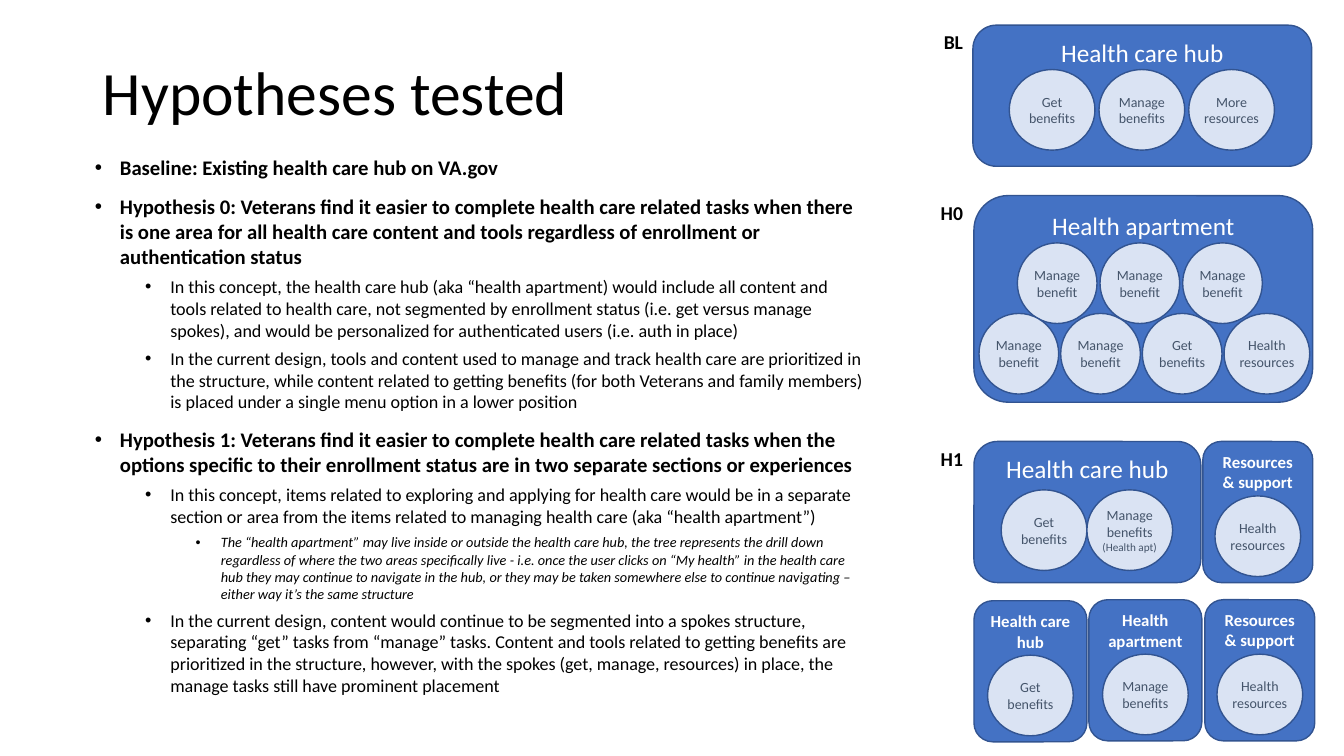
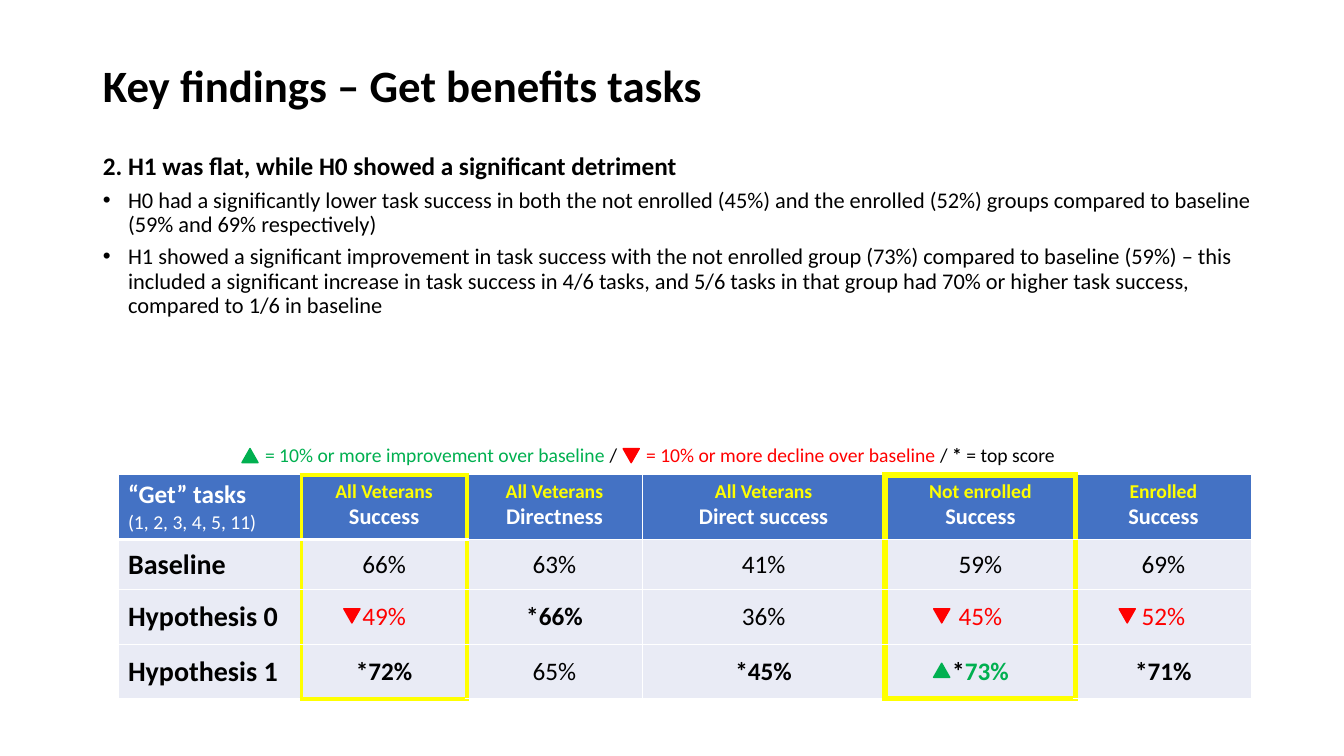
from dataclasses import dataclass

from lxml import etree
from pptx import Presentation
from pptx.dml.color import RGBColor
from pptx.enum.shapes import MSO_SHAPE
from pptx.enum.text import MSO_ANCHOR, MSO_AUTO_SIZE, PP_ALIGN
from pptx.oxml.ns import qn
from pptx.util import Inches, Pt

FONT = "Calibri"
COLORS = {
    "black": "000000", "white": "FFFFFF", "blue": "4472C4", "outline": "325491",
    "circle": "DAE3F3", "slate": "44546A", "band": "E9EBF5",
    "yellow": "FFFF00", "green": "00B050", "red": "FF0000",
}
MARK_COLORS = {"up": "green", "down": "red"}


@dataclass
class CircleRow:
    """A run of circles; left and top are measured from the card's corner."""
    left: float
    top: float
    gap: float
    widths: list
    labels: list


def rgb(name):
    return RGBColor.from_string(COLORS[name])


def add_span(para, text, size, color="black", bold=False, italic=False):
    span = para.add_run()
    span.text = text
    font = span.font
    font.name, font.size, font.bold, font.italic = FONT, Pt(size), bold, italic
    font.color.rgb = rgb(color)


def next_para(frame, index):
    return frame.paragraphs[0] if index == 0 else frame.add_paragraph()


def place(shape, box):
    shape.left, shape.top, shape.width, shape.height = map(Inches, box)


def set_indent(para, left, bullet=True):
    props = para._p.get_or_add_pPr()
    props.set("marL", str(Inches(left)))
    props.set("indent", str(Inches(-0.25 if bullet else 0)))
    if bullet:
        etree.SubElement(props, qn("a:buFont")).set("typeface", "Arial")
        etree.SubElement(props, qn("a:buChar")).set("char", "•")
    else:
        etree.SubElement(props, qn("a:buNone"))


def prepare_placeholder(shape, box, anchor):
    place(shape, box)
    frame = shape.text_frame
    frame.word_wrap = True
    frame.auto_size = MSO_AUTO_SIZE.NONE
    frame.vertical_anchor = anchor
    return frame


def add_titled_slide(deck, title, box, size, bold=False):
    slide = deck.slides.add_slide(deck.slide_layouts[1])
    frame = prepare_placeholder(slide.shapes.title, box, MSO_ANCHOR.MIDDLE)
    para = frame.paragraphs[0]
    para.alignment, para.line_spacing = PP_ALIGN.LEFT, 0.9
    add_span(para, title, size, bold=bold)
    return slide


def add_shape(slide, kind, box, fill, line):
    shape = slide.shapes.add_shape(kind, *map(Inches, box))
    shape.shadow.inherit = False
    shape.fill.solid()
    shape.fill.fore_color.rgb = rgb(fill)
    shape.line.color.rgb = rgb(line)
    shape.line.width = Pt(1)
    return shape


def add_label(slide, box, spans, align):
    frame = slide.shapes.add_textbox(*map(Inches, box)).text_frame
    frame.word_wrap = True
    para = frame.paragraphs[0]
    para.alignment = align
    for text, color, bold in spans:
        add_span(para, text, 14, color, bold)
    return para


def add_triangle(slide, left, top, mark):
    color = MARK_COLORS[mark]
    shape = add_shape(slide, MSO_SHAPE.ISOSCELES_TRIANGLE, (left, top, 0.16, 0.14), color, color)
    shape.rotation = 180 if mark == "down" else 0


def add_circle(slide, box, lines):
    frame = add_shape(slide, MSO_SHAPE.FLOWCHART_CONNECTOR, box, "circle", "outline").text_frame
    frame.margin_left = frame.margin_top = frame.margin_right = frame.margin_bottom = 0
    frame.vertical_anchor = MSO_ANCHOR.MIDDLE
    for index, text in enumerate(lines.split("\n")):
        para = next_para(frame, index)
        para.alignment = PP_ALIGN.CENTER
        add_span(para, text, 10 if index == 0 else 8, "slate")


def add_card(slide, box, heading, rows, small=False):
    """A rounded menu card with its heading and rows of circles."""
    frame = add_shape(slide, MSO_SHAPE.ROUNDED_RECTANGLE, box, "blue", "outline").text_frame
    frame.vertical_anchor = MSO_ANCHOR.TOP
    para = frame.paragraphs[0]
    para.alignment = PP_ALIGN.CENTER
    add_span(para, heading, 12 if small else 18, "white", bold=small)
    for row in rows:
        left = box[0] + row.left
        for width, label in zip(row.widths, row.labels):
            add_circle(slide, (left, box[1] + row.top, width, 0.8), label)
            left += width + row.gap


def add_outline(slide, box, items):
    """Bulleted paragraphs given as (level, text)."""
    frame = prepare_placeholder(slide.placeholders[1], box, MSO_ANCHOR.TOP)
    for index, (level, text) in enumerate(items):
        para = next_para(frame, index)
        para.level = level
        para.line_spacing = 1.0
        para.space_before = Pt(0 if index == 0 else 5 if level else 10)
        set_indent(para, 0.25 + 0.5 * level)
        add_span(para, text, (14.8, 12.9, 10.2)[level], bold=level == 0, italic=level == 2)


def add_finding(slide, box, heading, points):
    frame = prepare_placeholder(slide.placeholders[1], box, MSO_ANCHOR.TOP)
    for index, text in enumerate([heading] + points):
        is_point = index > 0
        para = next_para(frame, index)
        para.line_spacing, para.space_before, para.space_after = 0.9, Pt(0), Pt(6)
        set_indent(para, 0.25 if is_point else 0, bullet=is_point)
        add_span(para, text, 16 if is_point else 18, bold=not is_point)


def set_borders(cell, row, col, last_row, framed):
    """White rules, with a yellow frame round each column in framed."""
    own, before, after = (framed.get(col + step) for step in (0, -1, 1))
    sides = {
        "L": own or before,
        "R": own or after,
        "T": own if row == 0 else None,
        "B": own if row == last_row else None,
    }
    props = cell._tc.get_or_add_tcPr()
    for side, frame_width in sides.items():
        under_header = side == "B" and row == 0 and col < 2
        width = frame_width or (3 if under_header else 1)
        line = etree.SubElement(props, qn(f"a:ln{side}"), w=str(Pt(width)))
        fill = etree.SubElement(line, qn("a:solidFill"))
        color = COLORS["yellow" if frame_width else "white"]
        etree.SubElement(fill, qn("a:srgbClr"), val=color)


def write_cell(cell, row, col, value, mark):
    frame = cell.text_frame
    if row == 0:
        for index, text in enumerate(value):
            para = next_para(frame, index)
            if col == 0:
                add_span(para, text, (18, 14)[index], "white", bold=index == 0)
            else:
                para.alignment = PP_ALIGN.CENTER
                add_span(para, text, (14, 16)[index], ("yellow", "white")[index], bold=True)
        return
    cell.vertical_anchor = MSO_ANCHOR.MIDDLE
    para = frame.paragraphs[0]
    if col == 0:
        add_span(para, value, 20, bold=True)
        return
    para.alignment = PP_ALIGN.CENTER
    is_top = value.startswith("*")
    if is_top and mark:
        add_span(para, "*", 18, bold=True)
        value = value[1:]
    add_span(para, value, 18, MARK_COLORS.get(mark, "black"), bold=is_top)


def add_score_table(slide, left, top, widths, heights, rows, marks, framed):
    """marks maps (row, column) to a triangle kind and its offset in the cell."""
    box = (left, top, sum(widths), sum(heights))
    table = slide.shapes.add_table(len(rows), len(widths), *map(Inches, box)).table
    table.horz_banding = False
    for column, width in zip(table.columns, widths):
        column.width = Inches(width)
    for table_row, height in zip(table.rows, heights):
        table_row.height = Inches(height)
    for row, values in enumerate(rows):
        for col, value in enumerate(values):
            cell = table.cell(row, col)
            mark, offset = marks.get((row, col), (None, 0))
            set_borders(cell, row, col, len(rows) - 1, framed)
            cell.fill.solid()
            cell.fill.fore_color.rgb = rgb("band" if row else "blue")
            write_cell(cell, row, col, value, mark)
            if mark:
                add_triangle(slide, left + sum(widths[:col]) + offset,
                             top + sum(heights[:row]) + 0.19, mark)


def add_legend(slide, top):
    left_part = [("= 10% or more improvement over baseline", "green", False), (" /", "black", False)]
    right_part = [("= 10% or more decline over baseline ", "red", False), ("/ ", "black", False),
                  ("*", "black", True), (" = top score", "black", False)]
    for left, width, mark, spans in [(2.4, 3.75, "up", left_part), (6.18, 4.8, "down", right_part)]:
        para = add_label(slide, (left + 0.13, top, width, 0.34), spans, PP_ALIGN.LEFT)
        para.line_spacing = 0.9
        add_triangle(slide, left, top + 0.08, mark)


def build_hypotheses(deck):
    slide = add_titled_slide(deck, "Hypotheses tested", (0.92, 0.4, 11.5, 1.09), 44)
    add_outline(slide, (0.84, 1.49, 7.85, 5.79), [
        (0, "Baseline: Existing health care hub on VA.gov"),
        (0, "Hypothesis 0: Veterans find it easier to complete health care related tasks when there is one area for all health care content and tools regardless of enrollment or authentication status"),
        (1, "In this concept, the health care hub (aka “health apartment) would include all content and tools related to health care, not segmented by enrollment status (i.e. get versus manage spokes), and would be personalized for authenticated users (i.e. auth in place)"),
        (1, "In the current design, tools and content used to manage and track health care are prioritized in the structure, while content related to getting benefits (for both Veterans and family members) is placed under a single menu option in a lower position"),
        (0, "Hypothesis 1: Veterans find it easier to complete health care related tasks when the options specific to their enrollment status are in two separate sections or experiences"),
        (1, "In this concept, items related to exploring and applying for health care would be in a separate section or area from the items related to managing health care (aka “health apartment”)"),
        (2, "The “health apartment” may live inside or outside the health care hub, the tree represents the drill down regardless of where the two areas specifically live - i.e. once the user clicks on “My health” in the health care hub they may continue to navigate in the hub, or they may be taken somewhere else to continue navigating – either way it’s the same structure"),
        (1, "In the current design, content would continue to be segmented into a spokes structure, separating “get” tasks from “manage” tasks. Content and tools related to getting benefits are prioritized in the structure, however, with the spokes (get, manage, resources) in place, the manage tasks still have prominent placement"),
    ])
    for text, top in [("BL", 0.25), ("H0", 1.94), ("H1", 4.38)]:
        add_label(slide, (8.73, top, 0.92, 0.34), [(text, "black", True)], PP_ALIGN.RIGHT)

    add_card(slide, (9.65, 0.25, 3.36, 1.4), "Health care hub", [
        CircleRow(0.36, 0.44, 0.04, [0.85] * 3, ["Get benefits", "Manage benefits", "More resources"])])
    add_card(slide, (9.66, 1.94, 3.36, 2.05), "Health apartment", [
        CircleRow(0.43, 0.47, 0.03, [0.79] * 3, ["Manage benefit"] * 3),
        CircleRow(0.05, 1.17, 0.02, [0.79] * 3 + [0.85],
                  ["Manage benefit", "Manage benefit", "Get benefits", "Health resources"])])
    add_card(slide, (9.66, 4.38, 2.25, 1.4), "Health care hub", [
        CircleRow(0.27, 0.48, 0, [0.85] * 2, ["Get benefits", "Manage benefits\n(Health apt)"])])
    for left, top, width, heading, label in [
        (11.93, 4.38, 1.09, "Resources & support", "Health resources"),
        (9.66, 5.96, 1.12, "Health care hub", "Get benefits"),
        (10.8, 5.95, 1.12, "Health apartment", "Manage benefits"),
        (11.95, 5.95, 1.09, "Resources & support", "Health resources"),
    ]:
        circle = CircleRow((width - 0.85) / 2, 0.54, 0, [0.85], [label])
        add_card(slide, (left, top, width, 1.4), heading, [circle], small=True)


def build_findings(deck):
    slide = add_titled_slide(deck, "Key findings – Get benefits tasks", (0.92, 0.4, 11.5, 0.94), 32, bold=True)
    add_finding(slide, (0.92, 1.47, 11.77, 1.93), "2. H1 was flat, while H0 showed a significant detriment", [
        "H0 had a significantly lower task success in both the not enrolled (45%) and the enrolled (52%) groups compared to baseline (59% and 69% respectively)",
        "H1 showed a significant improvement in task success with the not enrolled group (73%) compared to baseline (59%) – this included a significant increase in task success in 4/6 tasks, and 5/6 tasks in that group had 70% or higher task success, compared to 1/6 in baseline",
    ])
    rows = [
        [("“Get” tasks", "(1, 2, 3, 4, 5, 11)"), ("All Veterans", "Success"),
         ("All Veterans", "Directness"), ("All Veterans", "Direct success"),
         ("Not enrolled", "Success"), ("Enrolled", "Success")],
        ["Baseline", "66%", "63%", "41%", "59%", "69%"],
        ["Hypothesis 0", "49%", "*66%", "36%", "45%", "52%"],
        ["Hypothesis 1", "*72%", "65%", "*45%", "*73%", "*71%"],
    ]
    marks = {(2, 1): ("down", 0.42), (2, 4): ("down", 0.48), (2, 5): ("down", 0.43), (3, 4): ("up", 0.48)}
    add_score_table(slide, 1.17, 4.71, [1.82, 1.64, 1.74, 2.41, 1.89, 1.74],
                    [0.64, 0.5, 0.54, 0.54], rows, marks, framed={1: 3, 4: 4.5})
    add_legend(slide, 4.37)


def main():
    deck = Presentation()
    deck.slide_width, deck.slide_height = Inches(13.33), Inches(7.5)
    build_hypotheses(deck)
    build_findings(deck)
    deck.save("out.pptx")


if __name__ == "__main__":
    main()
